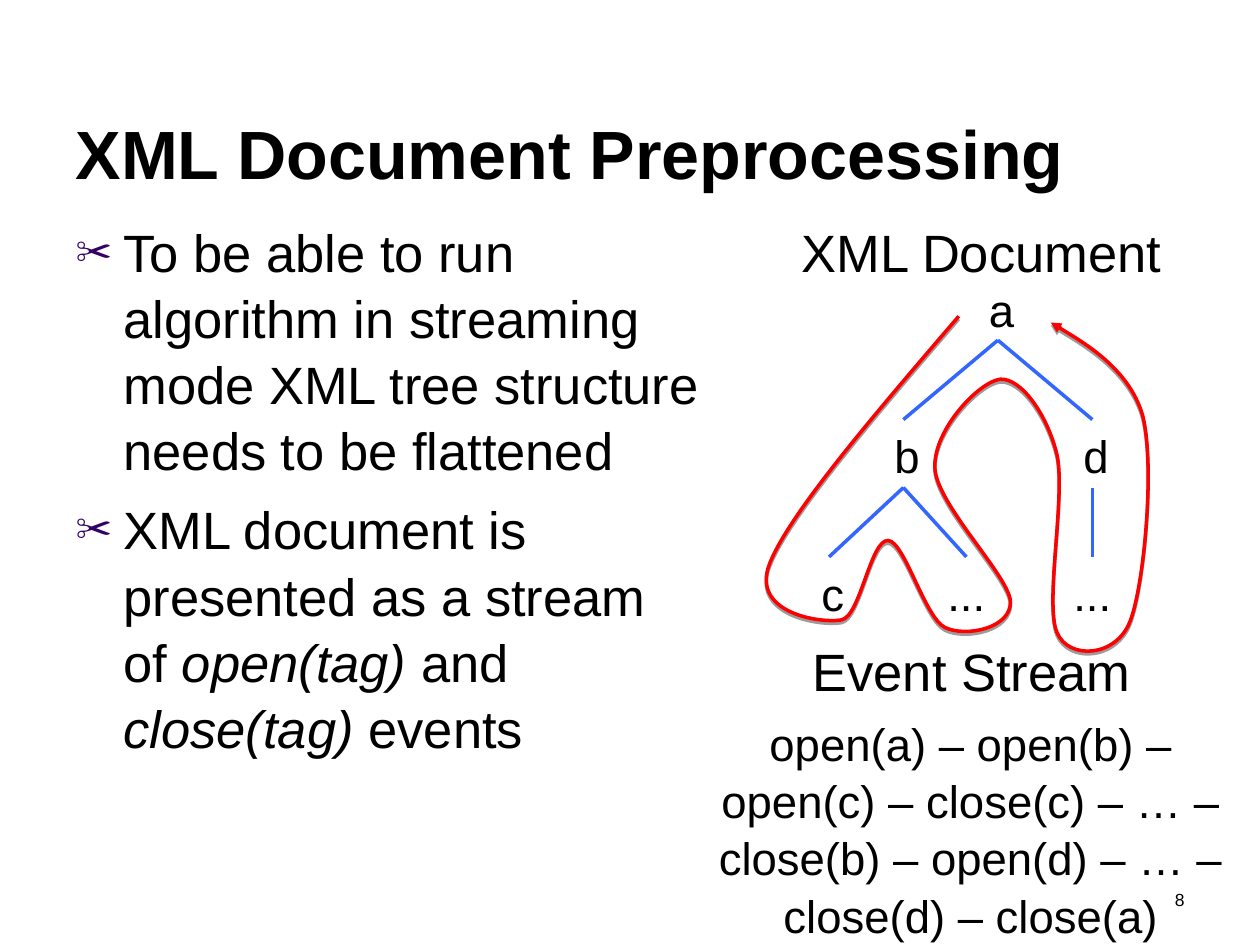
from lxml.etree import SubElement
from pptx import Presentation
from pptx.dml.color import RGBColor
from pptx.enum.shapes import MSO_CONNECTOR
from pptx.enum.text import MSO_ANCHOR, MSO_AUTO_SIZE, PP_ALIGN
from pptx.oxml import parse_xml
from pptx.oxml.ns import nsdecls, qn
from pptx.util import Inches, Pt


def color(value):
    return RGBColor.from_string(value)


def write(paragraph, text, size=26, bold=False, italic=False, align=PP_ALIGN.CENTER):
    paragraph.alignment = align
    paragraph.line_spacing = 1.05
    run = paragraph.add_run()
    run.text = text
    run.font.name = "Arial"
    run.font.size = Pt(size)
    run.font.bold = bold
    run.font.italic = italic
    run.font.color.rgb = color("000000")


presentation = Presentation()
presentation.slide_width = Inches(10)
presentation.slide_height = Inches(7.5)
slide = presentation.slides.add_slide(presentation.slide_layouts[1])

# Title and body placeholders
title = slide.shapes.title
body = slide.placeholders[1]
for shape, box in ((title, (0.5, 0.75, 9, 0.83)), (body, (0.5, 1.67, 5.17, 5.17))):
    shape.left, shape.top, shape.width, shape.height = map(Inches, box)
    shape.text_frame.auto_size = MSO_AUTO_SIZE.NONE
title.text_frame.vertical_anchor = MSO_ANCHOR.BOTTOM
write(title.text_frame.paragraphs[0], "XML Document Preprocessing",
      size=39, bold=True, align=PP_ALIGN.LEFT)

# Bulleted list: (text, italic) runs
bullets = [
    [("To be able to run algorithm in streaming mode XML tree structure "
      "needs to be flattened", False)],
    [("XML document is presented as a stream of ", False), ("open(tag)", True),
     (" and ", False), ("close(tag)", True), (" events", False)],
]
for index, runs in enumerate(bullets):
    frame = body.text_frame
    paragraph = frame.add_paragraph() if index else frame.paragraphs[0]
    for text, italic in runs:
        write(paragraph, text, size=30, italic=italic, align=PP_ALIGN.LEFT)
    paragraph.space_before = Pt(7.5)
    properties = paragraph._p.get_or_add_pPr()
    properties.set("marL", str(Inches(0.38)))
    properties.set("indent", str(-Inches(0.38)))
    bullet_color = SubElement(properties, qn("a:buClr"))
    SubElement(bullet_color, qn("a:srgbClr"), val="330066")
    SubElement(properties, qn("a:buSzPct"), val="70000")
    SubElement(properties, qn("a:buFont"), typeface="Arial")
    SubElement(properties, qn("a:buChar"), char="✂")

# Tree: node labels
tree = slide.shapes.add_group_shape()
nodes = [("a", 7.75, 2.17), ("b", 7, 3.33), ("d", 8.5, 3.33),
         ("c", 6.42, 4.42), ("...", 7.42, 4.42), ("...", 8.42, 4.42)]
for label, left, top in nodes:
    single = len(label) == 1
    node = tree.shapes.add_textbox(Inches(left), Inches(top),
                                   Inches(0.33 if single else 0.5), Inches(0.54))
    node.text_frame.word_wrap = single
    write(node.text_frame.paragraphs[0], label)

# Tree: edges
edges = [(7.92, 2.7, 7.17, 3.33), (7.92, 2.7, 8.67, 3.33), (7.17, 3.87, 6.58, 4.42),
         (7.17, 3.87, 7.67, 4.42), (8.67, 3.87, 8.67, 4.42)]
for ends in edges:
    edge = tree.shapes.add_connector(MSO_CONNECTOR.STRAIGHT, *map(Inches, ends))
    edge.line.color.rgb = color("3366FF")
    edge.line.width = Pt(2)
    SubElement(edge._element.spPr, qn("a:effectLst"))

# Headings, event stream and slide number
captions = [
    ("XML Document", (6.25, 1.67, 3.08, 0.6), 30, PP_ALIGN.CENTER),
    ("Event Stream", (6.17, 5, 3.08, 0.6), 30, PP_ALIGN.CENTER),
    ("open(a) – open(b) – open(c) – close(c) – … –close(b) – open(d) – … – "
     "close(d) – close(a)", (5.58, 5.61, 4.25, 1.84), 26, PP_ALIGN.CENTER),
    ("8", (7.17, 7, 2.33, 0.33), 10, PP_ALIGN.RIGHT),
]
for text, box, size, align in captions:
    caption = slide.shapes.add_textbox(*map(Inches, box))
    caption.text_frame.word_wrap = True
    write(caption.text_frame.paragraphs[0], text, size=size, align=align)

# Traversal path: each curve has two control points and an end point
start = (7.61, 2.51)
curves = [
    ((6.94, 3.29), (6.27, 4.07), (6.11, 4.47)),
    ((5.95, 4.87), (6.52, 4.95), (6.68, 4.92)),
    ((6.83, 4.89), (6.91, 4.28), (7.05, 4.29)),
    ((7.18, 4.3), (7.34, 4.9), (7.5, 4.98)),
    ((7.66, 5.06), (8.03, 4.99), (8.02, 4.77)),
    ((8, 4.56), (7.43, 4), (7.42, 3.71)),
    ((7.41, 3.41), (7.77, 3.03), (7.94, 3.01)),
    ((8.1, 3), (8.31, 3.28), (8.39, 3.61)),
    ((8.46, 3.94), (8.29, 4.79), (8.39, 5.02)),
    ((8.48, 5.24), (8.86, 5.22), (8.97, 4.93)),
    ((9.08, 4.65), (9.17, 3.7), (9.07, 3.3)),
    ((8.96, 2.91), (8.34, 2.56), (8.34, 2.56)),
]
builder = slide.shapes.build_freeform(*map(Inches, start))
builder.add_line_segments([tuple(map(Inches, curve[-1])) for curve in curves], close=False)
traversal = builder.convert_to_shape()

# Turn the straight segments into Bézier curves
segments = list(traversal._element.iter(qn("a:lnTo")))
for segment, curve in zip(segments, curves):
    bezier = SubElement(segment.getparent(), qn("a:cubicBezTo"))
    for x, y in curve:
        SubElement(bezier, qn("a:pt"), x=str(Inches(x) - traversal.left),
                   y=str(Inches(y) - traversal.top))
    segment.getparent().remove(segment)

# Traversal line, arrowhead and shadow
traversal.fill.background()
traversal.line.color.rgb = color("FF0000")
traversal.line.width = Pt(2)
SubElement(traversal.line._get_or_add_ln(), qn("a:tailEnd"), type="triangle")
traversal.shadow.inherit = False
effects = traversal._element.spPr.find(qn("a:effectLst"))
effects.append(parse_xml(
    f'<a:outerShdw {nsdecls("a")} blurRad="0" dist="{Pt(1.6)}" dir="5400000" rotWithShape="0">'
    '<a:srgbClr val="000000"><a:alpha val="38000"/></a:srgbClr></a:outerShdw>'))

presentation.save("out.pptx")
